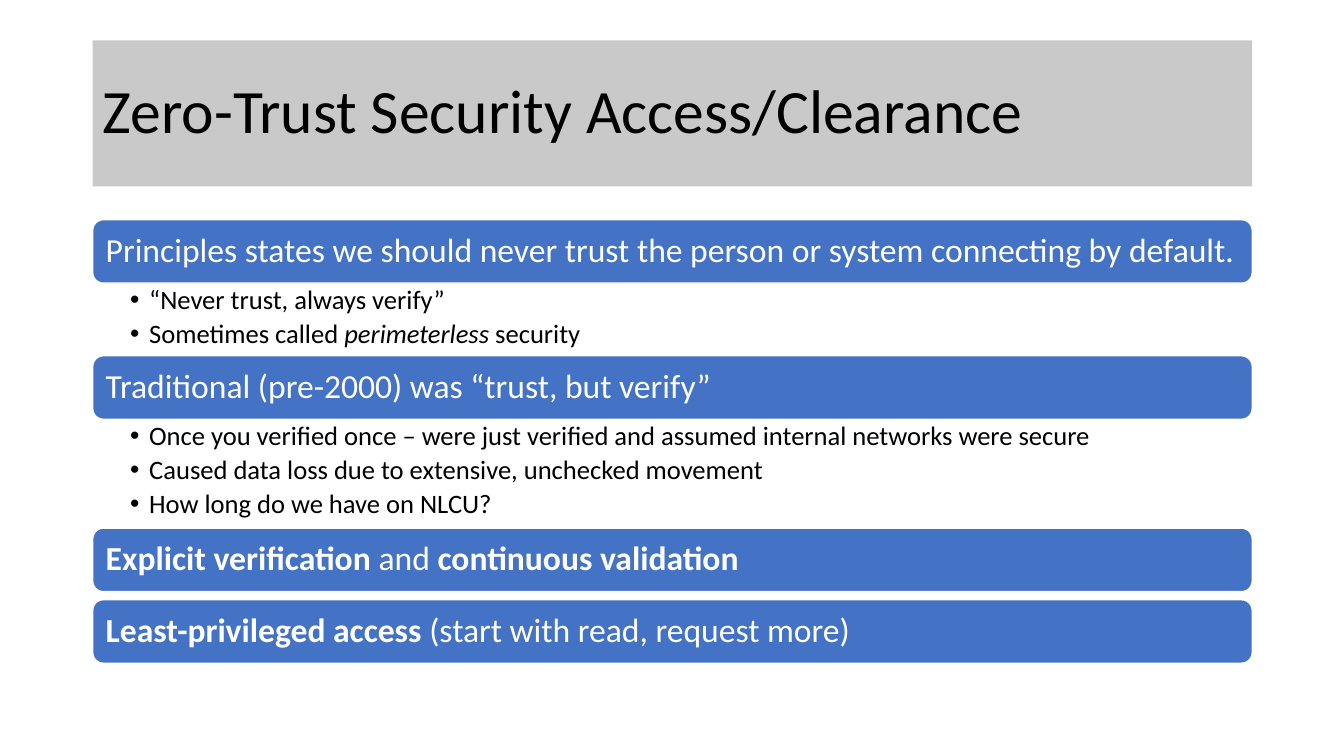
import collections

import lxml.etree
import pptx
import pptx.dml.color
import pptx.enum.shapes
import pptx.enum.text
import pptx.oxml.ns
import pptx.util

COLORS = {"title": "C9C9C9", "bar": "4472C4", "white": "FFFFFF", "black": "000000"}
FONT = "Calibri"
BAR_HEIGHT, BULLET_HEIGHT, BAR_GAP = 0.63, 0.36, 0.08

Box = collections.namedtuple("Box", "left top width height")

# Each section: heading runs, then bullets; a run is (text, style)
SECTIONS = [
    ([("Principles states we should never trust the person or system connecting by default.", "")],
     [[("“Never trust, always verify”", "")],
      [("Sometimes called ", ""), ("perimeterless", "italic"), (" security", "")]]),
    ([("Traditional (pre-2000) was “trust, but verify”", "")],
     [[("Once you verified once – were just verified and assumed internal networks were secure", "")],
      [("Caused data loss due to extensive, unchecked movement", "")],
      [("How long do we have on NLCU?", "")]]),
    ([("Explicit verification ", "bold"), ("and ", ""), ("continuous validation", "bold")], []),
    ([("Least-privileged access ", "bold"), ("(start with read, request more)", "")], []),
]


def color(name):
    return pptx.dml.color.RGBColor.from_string(COLORS[name])


def inches(box):
    return [pptx.util.Inches(length) for length in box]


def add_bullet(para, indent):
    properties = para._p.get_or_add_pPr()
    properties.set("marL", str(pptx.util.Inches(indent)))
    properties.set("indent", str(-pptx.util.Inches(indent)))
    font = lxml.etree.SubElement(properties, pptx.oxml.ns.qn("a:buFont"))
    font.set("typeface", "Arial")
    mark = lxml.etree.SubElement(properties, pptx.oxml.ns.qn("a:buChar"))
    mark.set("char", "•")


def write_text(shape, paragraphs, size, ink, insets=(0.1, 0.05, 0.1, 0.05),
               anchor="MIDDLE", space_after=0, bullet_indent=0):
    frame = shape.text_frame
    frame.word_wrap = True
    frame.vertical_anchor = pptx.enum.text.MSO_ANCHOR[anchor]
    (frame.margin_left, frame.margin_top,
     frame.margin_right, frame.margin_bottom) = inches(insets)
    for index, runs in enumerate(paragraphs):
        para = frame.add_paragraph() if index else frame.paragraphs[0]
        para.alignment = pptx.enum.text.PP_ALIGN.LEFT
        para.line_spacing = 0.9
        para.space_after = pptx.util.Pt(space_after)
        if bullet_indent:
            add_bullet(para, bullet_indent)
        for text, style in runs:
            span = para.add_run()
            span.text = text
            span.font.name = FONT
            span.font.size = pptx.util.Pt(size)
            span.font.color.rgb = color(ink)
            span.font.bold = style == "bold"
            span.font.italic = style == "italic"


def add_panel(page, kind, box, fill):
    panel = page.shapes.add_shape(pptx.enum.shapes.MSO_SHAPE[kind], *inches(box))
    panel.shadow.inherit = False
    panel.fill.solid()
    panel.fill.fore_color.rgb = color(fill)
    panel.line.fill.background()
    return panel


def add_title(page, box, text):
    panel = add_panel(page, "RECTANGLE", box, "title")
    write_text(panel, [[(text, "")]], 44, "black")


def add_bar(page, box, runs):
    bar = add_panel(page, "ROUNDED_RECTANGLE", box, "bar")
    bar.line.color.rgb = color("white")
    bar.line.width = pptx.util.Pt(1)
    write_text(bar, [runs], 24, "white")


def add_bullets(page, box, bullets):
    listing = page.shapes.add_textbox(*inches(box))
    write_text(listing, bullets, 19, "black", insets=(0.37, 0.03, 0.19, 0.03),
               anchor="TOP", space_after=3.8, bullet_indent=0.19)


def add_sections(page, box, sections):
    top = box.top
    for heading, bullets in sections:
        add_bar(page, box._replace(top=top, height=BAR_HEIGHT), heading)
        top += BAR_HEIGHT
        # A bar without bullets is followed by a narrow gap
        if bullets:
            height = BULLET_HEIGHT * len(bullets)
            add_bullets(page, box._replace(top=top, height=height), bullets)
            top += height
        else:
            top += BAR_GAP


def main():
    deck = pptx.Presentation()
    deck.slide_width = pptx.util.Inches(13.33)
    deck.slide_height = pptx.util.Inches(7.5)
    page = deck.slides.add_slide(deck.slide_layouts[6])
    add_title(page, Box(0.92, 0.4, 11.5, 1.45), "Zero-Trust Security Access/Clearance")
    add_sections(page, Box(0.92, 2.18, 11.5, 4.4), SECTIONS)
    deck.save("out.pptx")


if __name__ == "__main__":
    main()
